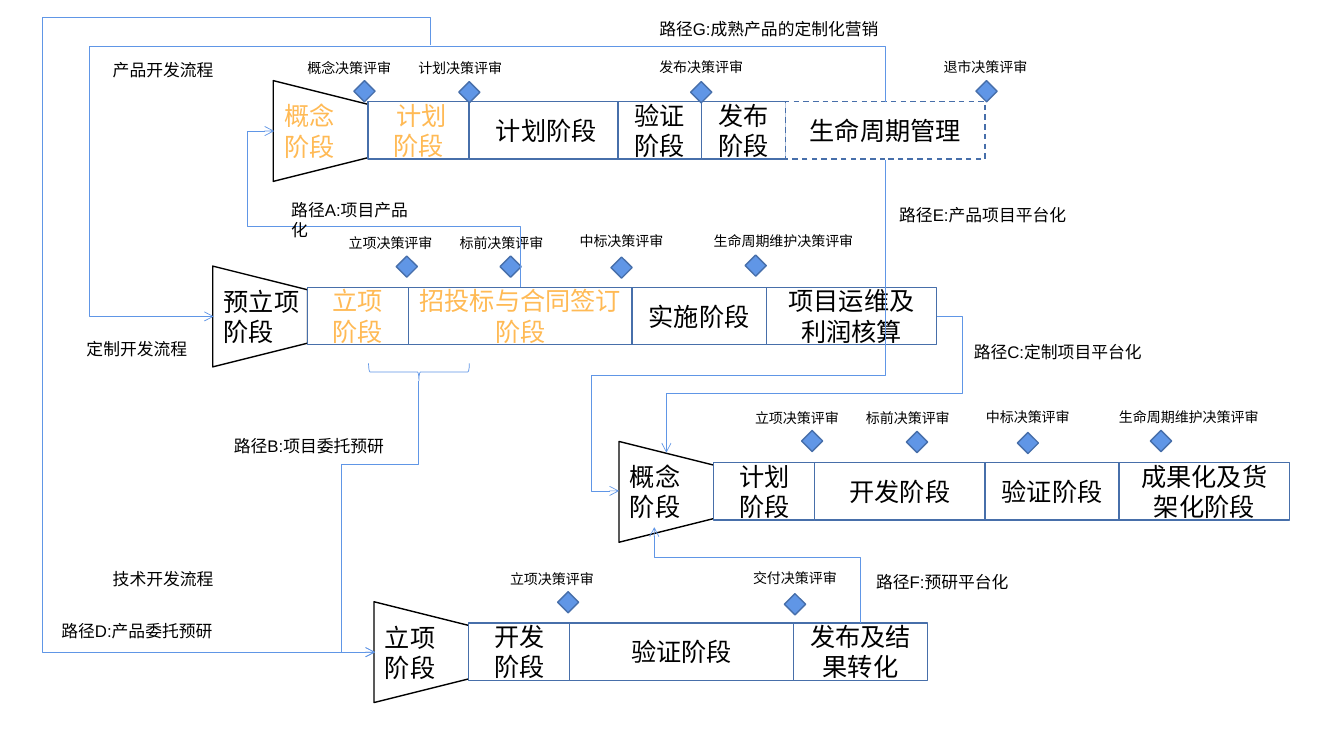
from pptx import Presentation
from pptx import util as u
from pptx.dml.color import RGBColor
from pptx.enum import dml, shapes, text
from pptx.oxml import ns
from lxml import etree

COLOURS = {"black": "000000", "white": "FFFFFF", "orange": "FFBA55",
           "blue": "6096E6", "border": "476FAA"}
FONT = "Arial"
STAGE_HEIGHT = 0.57
DIAMOND = 0.21

# Each flow: left and top of the first stage, funnel text and colour,
# stages (text, width, colour) and reviews (text, label left/top, diamond left/top)
FLOWS = [
    (3.65, 1.01, "概念\n阶段", "orange",
     [(" 计划阶段", 1, "orange"), (" 计划阶段", 1.48, "black"),
      ("验证阶段", 0.83, "black"), ("发布阶段", 0.83, "black"),
      ("生命周期管理", 1.98, "black")],
     [("概念决策评审", 2.95, 0.54, 3.51, 0.8), ("计划决策评审", 4.05, 0.54, 4.55, 0.81),
      ("发布决策评审", 6.44, 0.53, 6.85, 0.81), ("退市决策评审", 9.26, 0.53, 9.68, 0.8)]),
    (3.05, 2.85, "预立项\n阶段", "black",
     [("立项\n阶段", 1, "orange"), ("招投标与合同签订阶段", 2.22, "orange"),
      ("实施阶段", 1.33, "black"), ("项目运维及利润核算", 1.69, "black")],
     [("立项决策评审", 3.36, 2.28, 3.93, 2.54), ("标前决策评审", 4.46, 2.28, 4.96, 2.54),
      ("中标决策评审", 5.65, 2.26, 6.06, 2.55),
      ("生命周期维护决策评审", 6.98, 2.26, 7.39, 2.53)]),
    (4.65, 6.18, "立项\n阶段", "black",
     [("开发\n阶段", 1, "black"), ("验证阶段", 2.22, "black"),
      ("发布及结果转化", 1.33, "black")],
     [("立项决策评审", 4.96, 5.61, 5.53, 5.87), ("交付决策评审", 7.37, 5.6, 7.78, 5.89)]),
    (7.08, 4.59, "概念\n阶段", "black",
     [("计划\n阶段", 1, "black"), ("开发阶段", 1.69, "black"),
      ("验证阶段", 1.33, "black"), ("成果化及货架化阶段", 1.69, "black")],
     [("立项决策评审", 7.39, 4.01, 7.95, 4.27), ("标前决策评审", 8.49, 4.01, 8.99, 4.28),
      ("中标决策评审", 9.68, 4, 10.09, 4.29),
      ("生命周期维护决策评审", 11, 4, 11.41, 4.27)]),
]

FLOW_NAMES = [("产品开发流程", 1.02, 0.54), ("定制开发流程", 0.76, 3.31),
              ("技术开发流程", 1.02, 5.59)]

# Each path: label, label left, top and width, then the corners of its route
PATHS = [
    ("路径G:成熟产品的定制化营销", 6.44, 0.14, 2.38,
     [(8.78, 1.01), (8.78, 0.46), (0.88, 0.46), (0.88, 3.14), (2.12, 3.14)]),
    ("路径D:产品委托预研", 0.51, 6.11, 1.7,
     [(4.27, 0.45), (4.27, 0.17), (0.42, 0.17), (0.42, 6.47), (3.72, 6.47)]),
    ("路径B:项目委托预研", 2.22, 4.27, 1.69,
     [(4.15, 3.78), (4.15, 4.61), (3.39, 4.61), (3.39, 6.47), (3.72, 6.47)]),
    ("路径A:项目产品化", 2.79, 1.93, 1.52,
     [(5.16, 2.85), (5.16, 2.25), (2.45, 2.25), (2.45, 1.3), (2.72, 1.3)]),
    ("路径E:产品项目平台化", 8.82, 1.98, 1.86,
     [(8.78, 1.59), (8.78, 3.73), (5.86, 3.73), (5.86, 4.87), (6.14, 4.87)]),
    ("路径F:预研平台化", 8.59, 5.62, 1.52,
     [(8.53, 6.18), (8.53, 5.53), (6.49, 5.53), (6.49, 5.23)]),
    ("路径C:定制项目平台化", 9.56, 3.34, 1.87,
     [(9.29, 3.14), (9.55, 3.14), (9.55, 3.9), (6.61, 3.9), (6.61, 4.49)]),
]


def rgb(name):
    return RGBColor.from_string(COLOURS[name])


def write(frame, content, size=18, colour="black", align=None):
    frame.text = content
    for paragraph in frame.paragraphs:
        paragraph.alignment = align
        for run in paragraph.runs:
            run.font.size = u.Pt(size)
            run.font.name = FONT
            run.font.color.rgb = rgb(colour)


def add_label(slide, content, left, top, size, width=None, colour="black"):
    lines = content.split("\n")
    if width is None:
        width = 0.2 + max(map(len, lines)) * size / 72
    height = 0.1 + len(lines) * size / 60
    label = slide.shapes.add_textbox(*map(u.Inches, (left, top, width, height)))
    label.text_frame.word_wrap = False
    label.text_frame.auto_size = text.MSO_AUTO_SIZE.SHAPE_TO_FIT_TEXT
    write(label.text_frame, content, size=size, colour=colour)


def add_figure(slide, kind, left, top, width, height, fill="white", line="border",
               weight=1, rotation=0):
    figure = slide.shapes.add_shape(kind, *map(u.Inches, (left, top, width, height)))
    figure.shadow.inherit = False
    figure.rotation = rotation
    if fill:
        figure.fill.solid()
        figure.fill.fore_color.rgb = rgb(fill)
    else:
        figure.fill.background()
    figure.line.color.rgb = rgb(line)
    figure.line.width = u.Pt(weight)
    return figure


def add_stage(slide, content, left, top, width, colour):
    stage = add_figure(slide, shapes.MSO_SHAPE.RECTANGLE, left, top, width, STAGE_HEIGHT)
    stage.text_frame.word_wrap = True
    stage.text_frame.vertical_anchor = text.MSO_ANCHOR.MIDDLE
    write(stage.text_frame, content, colour=colour, align=text.PP_ALIGN.CENTER)
    return stage


def add_flow(slide, left, top, funnel_text, funnel_colour, stages, reviews):
    add_figure(slide, shapes.MSO_SHAPE.TRAPEZOID, left - 0.97, top - 0.18, 1, 0.94,
               line="black", rotation=90)
    for content, width, colour in stages:
        stage = add_stage(slide, content, left, top, width, colour)
        if content == "生命周期管理":
            stage.line.dash_style = dml.MSO_LINE.DASH
        left += width
    funnel_left = left - sum(width for _, width, _ in stages) - 0.93
    add_label(slide, funnel_text, funnel_left, top - 0.06, 18, colour=funnel_colour)
    for content, label_left, label_top, mark_left, mark_top in reviews:
        add_figure(slide, shapes.MSO_SHAPE.DIAMOND, mark_left, mark_top,
                   DIAMOND, DIAMOND, fill="blue")
        add_label(slide, content, label_left, label_top, 10)


def add_route(slide, corners):
    """Bent arrow through the corners; a vertical start is a quarter turn."""
    (x0, y0), first, second, *_, (x1, y1) = corners
    dx, dy = x1 - x0, y1 - y0
    turned = first[0] == x0
    if turned:
        width, height, flip_h, flip_v = abs(dy), abs(dx), dy < 0, dx > 0
        bends = [(first[1] - y0) / dy, (second[0] - x0) / dx]
    else:
        width, height, flip_h, flip_v = abs(dx), abs(dy), dx < 0, dy < 0
        bends = [(first[0] - x0) / dx, (second[1] - y0) / dy]
    bends = bends[:len(corners) - 3]
    left, top = (x0 + x1 - width) / 2, (y0 + y1 - height) / 2
    route = slide.shapes.add_connector(
        shapes.MSO_CONNECTOR.ELBOW,
        *map(u.Inches, (left, top, left + width, top + height)))
    route.line.color.rgb = rgb("blue")
    route.line.width = u.Pt(0.5)

    # Turn, flips, bends, arrowhead and no shadow
    properties = route._element.spPr
    frame = properties.find(ns.qn("a:xfrm"))
    frame.set("rot", str(90 * 60000 if turned else 0))
    frame.set("flipH", str(int(flip_h)))
    frame.set("flipV", str(int(flip_v)))
    geometry = properties.find(ns.qn("a:prstGeom"))
    geometry.set("prst", f"bentConnector{len(bends) + 2}")
    guides = geometry.find(ns.qn("a:avLst"))
    for number, bend in enumerate(bends, 1):
        etree.SubElement(guides, ns.qn("a:gd"), name=f"adj{number}",
                         fmla=f"val {round(bend * 100000)}")
    etree.SubElement(properties.find(ns.qn("a:ln")), ns.qn("a:tailEnd"), type="arrow")
    etree.SubElement(properties, ns.qn("a:effectLst"))


def main():
    deck = Presentation()
    deck.slide_width, deck.slide_height = u.Inches(13.33), u.Inches(7.5)
    slide = deck.slides.add_slide(deck.slide_layouts[6])

    # Flows with their stages and reviews
    for flow in FLOWS:
        add_flow(slide, *flow)
    for name, left, top in FLOW_NAMES:
        add_label(slide, name, left, top, 12)

    # Paths between the flows
    add_figure(slide, shapes.MSO_SHAPE.RIGHT_BRACE, 4.07, 3.19, 0.17, 1,
               fill=None, line="blue", weight=0.5, rotation=90)
    for name, left, top, width, corners in PATHS:
        add_route(slide, corners)
        add_label(slide, name, left, top, 12, width=width)

    deck.save("out.pptx")


if __name__ == "__main__":
    main()
